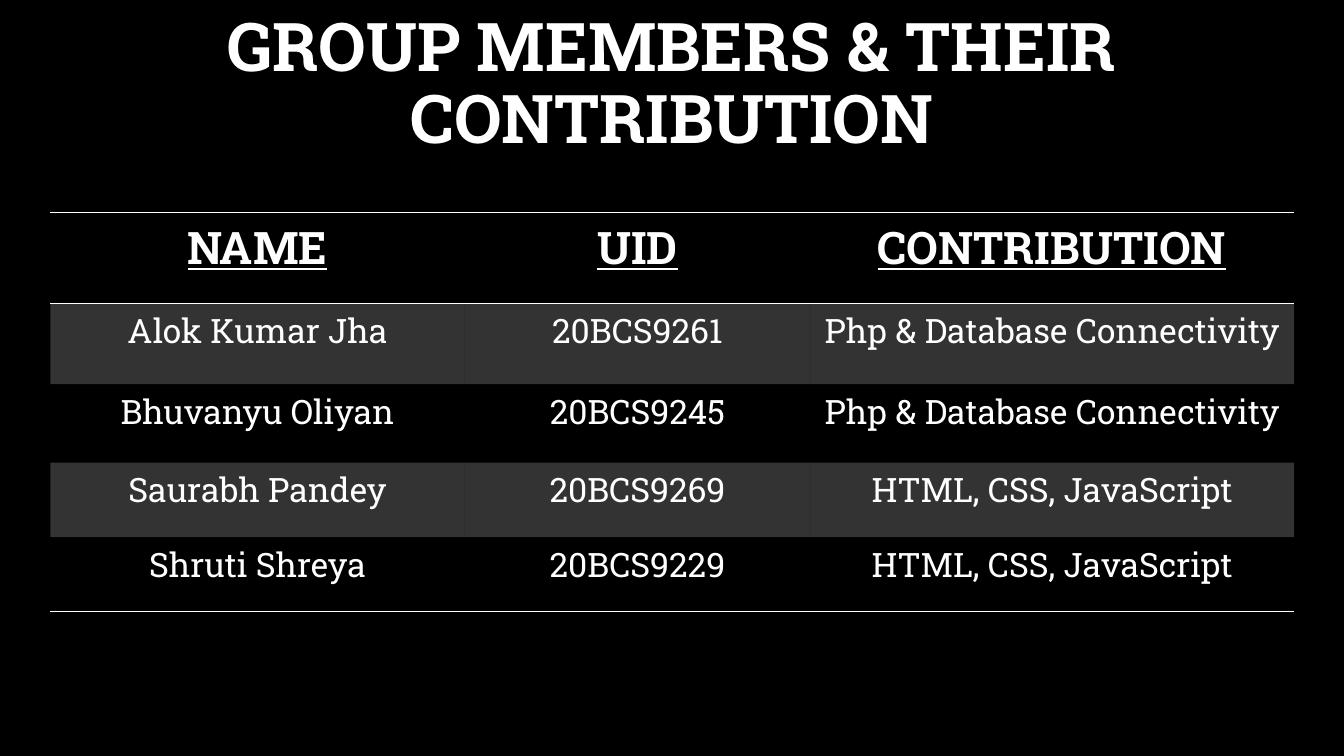
from dataclasses import dataclass

from lxml.etree import SubElement
from pptx import Presentation
from pptx.dml.color import RGBColor
from pptx.enum.text import MSO_ANCHOR as Anchor, PP_ALIGN as Align
from pptx.oxml import parse_xml
from pptx.oxml.ns import nsdecls, qn
from pptx.util import Inches, Pt


@dataclass(frozen=True)
class Theme:
    font: str = "Roboto Slab"
    ground: str = "000000"
    ink: str = "FFFFFF"
    band_opacity: int = 20
    title_size: int = 48
    header_size: int = 32
    body_size: int = 24
    rule_width: int = 1


GRID_COLUMNS, GRID_ROWS = 26.67, 15
MEMBERS = [
    ("NAME", "UID", "CONTRIBUTION"),
    ("Alok Kumar Jha", "20BCS9261", "Php & Database Connectivity"),
    ("Bhuvanyu Oliyan", "20BCS9245", "Php & Database Connectivity"),
    ("Saurabh Pandey", "20BCS9269", "HTML, CSS, JavaScript"),
    ("Shruti Shreya", "20BCS9229", "HTML, CSS, JavaScript"),
]
MEMBER_COLUMNS = (8.22, 6.86, 9.6)
MEMBER_ROWS = (1.8, 1.6, 1.56, 1.48, 1.48)


def grid(count):
    """Length of a number of half-inch grid steps."""
    return Inches(count / 2)


class Board:
    def __init__(self, slide, theme):
        self.slide, self.theme = slide, theme
        ground = slide.background.fill
        ground.solid()
        ground.fore_color.rgb = RGBColor.from_string(theme.ground)

    def add_text(self, frame, text, size, bold=False, underline=False):
        paragraph = frame.paragraphs[0]
        paragraph.alignment = Align.CENTER
        run = paragraph.add_run()
        run.text = text
        font = run.font
        font.name, font.size = self.theme.font, Pt(size)
        font.bold, font.underline = bold, underline
        font.color.rgb = RGBColor.from_string(self.theme.ink)
        return paragraph

    def title(self, text, left, top, width, height):
        frame = self.slide.shapes.add_textbox(*map(grid, (left, top, width, height))).text_frame
        frame.word_wrap = True
        frame.vertical_anchor = Anchor.MIDDLE
        self.add_text(frame, text, self.theme.title_size, bold=True).line_spacing = 0.9

    def fill_cell(self, cell, banded):
        if not banded:
            cell.fill.background()
            return
        cell.fill.solid()
        cell.fill.fore_color.rgb = RGBColor.from_string(self.theme.ink)
        color = cell._tc.tcPr.find(".//" + qn("a:srgbClr"))
        SubElement(color, qn("a:alpha"), val=str(self.theme.band_opacity * 1000))

    def rule_cell(self, cell, ruled_sides):
        """Draw the sides named in ruled_sides and clear the others."""
        properties = cell._tc.get_or_add_tcPr()
        ink = f'<a:solidFill><a:srgbClr val="{self.theme.ink}"/></a:solidFill>'
        for position, side in enumerate("LRTB"):
            paint = ink if side in ruled_sides else "<a:noFill/>"
            properties.insert(position, parse_xml(
                f'<a:ln{side} {nsdecls("a")} w="{Pt(self.theme.rule_width)}">{paint}</a:ln{side}>'))

    def table(self, entries, left, top, columns, rows):
        """Table with a ruled header, a closing rule and shaded odd rows."""
        table = self.slide.shapes.add_table(
            len(rows), len(columns), grid(left), grid(top),
            grid(sum(columns)), grid(sum(rows))).table
        table.first_row = table.horz_banding = False
        for column, width in zip(table.columns, columns):
            column.width = grid(width)
        rules = {0: "TB", 1: "T", len(rows) - 1: "B"}
        for index, (row, height, texts) in enumerate(zip(table.rows, rows, entries)):
            row.height = grid(height)
            header = index == 0
            size = self.theme.header_size if header else self.theme.body_size
            for cell, text in zip(row.cells, texts):
                self.add_text(cell.text_frame, text, size, bold=header, underline=header)
                self.fill_cell(cell, banded=index % 2 == 1)
                self.rule_cell(cell, rules.get(index, ""))


def main():
    deck = Presentation()
    deck.slide_width, deck.slide_height = grid(GRID_COLUMNS), grid(GRID_ROWS)
    board = Board(deck.slides.add_slide(deck.slide_layouts[6]), Theme())
    board.title("GROUP MEMBERS & THEIR CONTRIBUTION", 0, 0, GRID_COLUMNS, 3.4)
    board.table(MEMBERS, 1, 4.22, MEMBER_COLUMNS, MEMBER_ROWS)
    deck.save("out.pptx")


if __name__ == "__main__":
    main()
